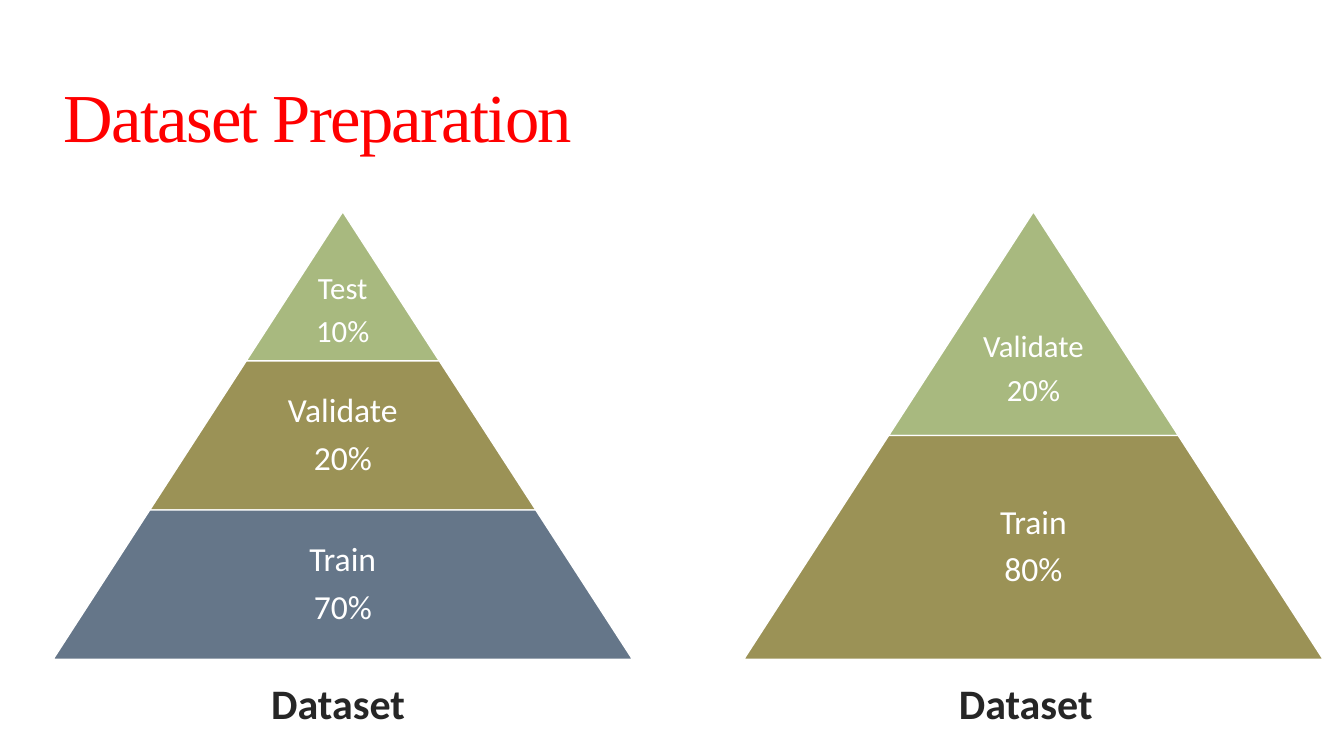
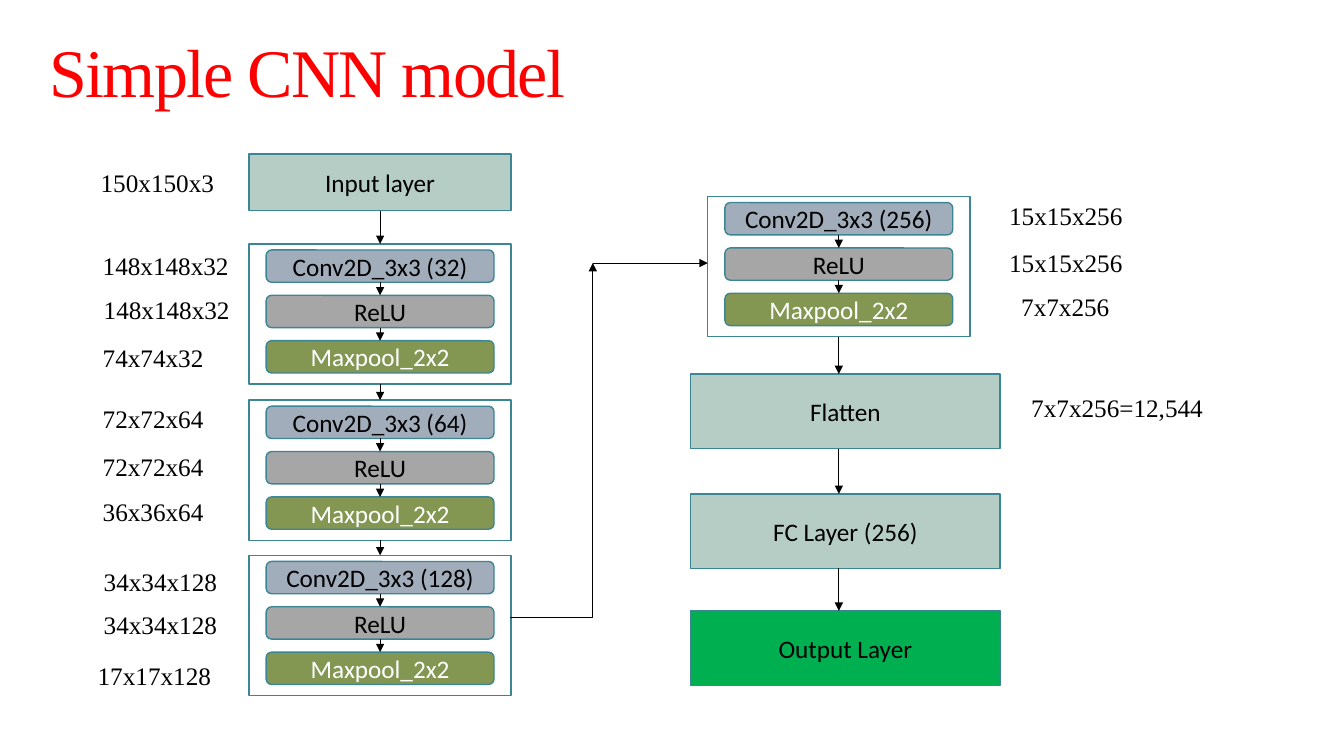
from lxml import etree
from pptx import Presentation
from pptx import util as u
from pptx.dml.color import RGBColor
from pptx.enum import shapes, text
from pptx.oxml.ns import qn

RED = RGBColor(0xFF, 0x00, 0x00)
BLACK = RGBColor(0x00, 0x00, 0x00)
WHITE = RGBColor(0xFF, 0xFF, 0xFF)
CHARCOAL = RGBColor(0x26, 0x26, 0x26)
SAGE = RGBColor(0xA8, 0xB9, 0x7F)
OLIVE = RGBColor(0x9B, 0x92, 0x56)
SLATE = RGBColor(0x65, 0x76, 0x89)
TEAL = RGBColor(0x3B, 0x85, 0x94)
MINT = RGBColor(0xB5, 0xCD, 0xC4)
BLUE_GREY = RGBColor(0xA1, 0xAD, 0xBA)
GREY = RGBColor(0xA6, 0xA6, 0xA6)
MOSS = RGBColor(0x83, 0x97, 0x53)
GREEN = RGBColor(0x00, 0xB0, 0x50)

SANS = "Calibri"
SERIF = "Times New Roman"
TITLE_ONLY = 5
TOP, LEFT, BOTTOM, RIGHT = range(4)

PYRAMID_TOP = 2.1
PYRAMID_HEIGHT = 4.44
SLOPE = 0.647

FRAME_W, FRAME_H = 2.6, 1.39
DENSE_X, DENSE_W, DENSE_H = 6.85, 3.07, 0.74
FLOW_X = 8.32


def place(sp, x, y, w, h):
    sp.left, sp.top, sp.width, sp.height = (u.Inches(v) for v in (x, y, w, h))


def add_run(p, words, size, color, font=SANS, bold=False):
    r = p.add_run()
    r.text = words
    r.font.name = font
    r.font.size = u.Pt(size)
    r.font.color.rgb = color
    r.font.bold = bold
    return r


def add_slide(prs, title, x, y, h, size):
    slide = prs.slides.add_slide(prs.slide_layouts[TITLE_ONLY])
    sp = slide.shapes.title
    place(sp, x, y, 11.78, h)
    tf = sp.text_frame
    tf.auto_size = text.MSO_AUTO_SIZE.NONE
    tf.vertical_anchor = text.MSO_ANCHOR.MIDDLE
    p = tf.paragraphs[0]
    p.alignment = text.PP_ALIGN.LEFT
    p.line_spacing = 0.85
    r = add_run(p, title, size, RED, SERIF)
    r.font._element.set("spc", "-120")
    return slide


def add_label(slide, x, y, w, h, words, size, color, font, bold=False):
    sp = slide.shapes.add_textbox(*(u.Inches(v) for v in (x, y, w, h)))
    sp.text_frame.word_wrap = True
    add_run(sp.text_frame.paragraphs[0], words, size, color, font, bold)
    return sp


def add_box(slide, kind, x, y, w, h, fill, line):
    sp = slide.shapes.add_shape(kind, *(u.Inches(v) for v in (x, y, w, h)))
    sp.shadow.inherit = False
    if fill is None:
        sp.fill.background()
    else:
        sp.fill.solid()
        sp.fill.fore_color.rgb = fill
    sp.line.color.rgb = line
    sp.line.width = u.Pt(1)
    sp.text_frame.vertical_anchor = text.MSO_ANCHOR.MIDDLE
    return sp


def add_layer(slide, x, y, w, h, words, fill, color=BLACK,
              kind=shapes.MSO_SHAPE.RECTANGLE):
    sp = add_box(slide, kind, x, y, w, h, fill, TEAL)
    p = sp.text_frame.paragraphs[0]
    p.alignment = text.PP_ALIGN.CENTER
    add_run(p, words, 18, color)
    return sp


def add_arrow(slide, start=(0, 0), end=(0, 0), begin_at=None, end_at=None,
              kind=shapes.MSO_CONNECTOR.STRAIGHT):
    c = slide.shapes.add_connector(kind, *(u.Inches(v) for v in (*start, *end)))
    if begin_at:
        c.begin_connect(*begin_at)
    if end_at:
        c.end_connect(*end_at)
    c.line.color.rgb = BLACK
    c.line.width = u.Pt(0.75)
    etree.SubElement(c.line._get_or_add_ln(), qn("a:tailEnd"), type="triangle")
    etree.SubElement(c._element.spPr, qn("a:effectLst"))
    return c


def join_down(slide, upper, lower):
    add_arrow(slide, begin_at=(upper, BOTTOM), end_at=(lower, TOP))


def add_pyramid(slide, center, levels, tip_drop):
    h = PYRAMID_HEIGHT / len(levels)
    for i, (name, share, fill) in enumerate(levels):
        w = 2 * SLOPE * h * (i + 1)
        sp = add_box(slide, shapes.MSO_SHAPE.TRAPEZOID, center - w / 2,
                     PYRAMID_TOP + i * h, w, h, fill, WHITE)
        sp.adjustments[0] = SLOPE
        tf = sp.text_frame
        tf.word_wrap = False
        tf.margin_left = tf.margin_right = u.Inches(0.03)
        tf.margin_top = u.Inches(0.03 if i else tip_drop)
        tf.margin_bottom = u.Inches(0.03 + (h / 3 / (i + 1) if i else 0))
        size = 24 if i else 22
        for p, words in zip((tf.paragraphs[0], tf.add_paragraph()), (name, share)):
            p.alignment = text.PP_ALIGN.CENTER
            p.line_spacing = 0.9
            p.space_after = u.Pt(size / 3)
            add_run(p, words, size, WHITE)


def add_caption(slide, x):
    sp = add_label(slide, x, 6.75, 2.83, 0.36, "Dataset", 30, CHARCOAL, SANS, True)
    sp.text_frame.margin_left = u.Inches(0.2)
    sp.text_frame.paragraphs[0].line_spacing = 0.85


def add_conv_block(slide, x, y, filters):
    frame = add_box(slide, shapes.MSO_SHAPE.RECTANGLE, x, y, FRAME_W, FRAME_H,
                    None, TEAL)
    steps = [(f"Conv2D_3x3 ({filters})", BLUE_GREY, BLACK),
             ("ReLU", GREY, BLACK),
             ("Maxpool_2x2", MOSS, WHITE)]
    layers = [add_layer(slide, x + 0.17, y + 0.06 + 0.45 * i, 2.26, 0.32, *step,
                        kind=shapes.MSO_SHAPE.ROUNDED_RECTANGLE)
              for i, step in enumerate(steps)]
    for upper, lower in zip(layers, layers[1:]):
        join_down(slide, upper, lower)
    return frame


def build_dataset_slide(prs):
    slide = add_slide(prs, "Dataset Preparation", 0.53, 0.75, 0.92, 49)
    add_pyramid(slide, 3.4, [("Test", "10%", SAGE),
                             ("Validate", "20%", OLIVE),
                             ("Train", "70%", SLATE)], 0.03)
    add_pyramid(slide, 10.25, [("Validate", "20%", SAGE),
                               ("Train", "80%", OLIVE)], 0.2)
    for x in (2.49, 9.31):
        add_caption(slide, x)


def build_model_slide(prs):
    slide = add_slide(prs, "Simple CNN model", 0.39, 0.39, 0.74, 48.6)

    column = [add_layer(slide, 2.47, 1.53, FRAME_W, 0.56, "Input layer", MINT)]
    for y, filters in ((2.42, 32), (3.97, 64), (5.51, 128)):
        column.append(add_conv_block(slide, 2.47, y, filters))
    for upper, lower in zip(column, column[1:]):
        join_down(slide, upper, lower)

    last_block = add_conv_block(slide, 7.02, 1.95, 256)
    elbow = add_arrow(slide, (5.06, 6.13), (5.88, 2.61),
                      kind=shapes.MSO_CONNECTOR.ELBOW)
    elbow._element.spPr.find(qn("a:prstGeom")).set("prst", "bentConnector2")
    add_arrow(slide, (5.88, 2.61), (7.02, 2.61))

    dense = [(3.71, "Flatten", MINT), (4.9, "FC Layer (256)", MINT),
             (6.06, "Output Layer", GREEN)]
    for y, words, fill in dense:
        add_layer(slide, DENSE_X, y, DENSE_W, DENSE_H, words, fill)
    add_arrow(slide, (FLOW_X, 3.34), (FLOW_X, 3.71), begin_at=(last_block, BOTTOM))
    for (upper, *_), (lower, *_) in zip(dense, dense[1:]):
        add_arrow(slide, (FLOW_X, upper + DENSE_H), (FLOW_X, lower))

    sizes = [(0.9, 1.61, "150x150x3"),
             (0.92, 2.43, "148x148x32"),
             (0.93, 2.87, "148x148x32"),
             (0.92, 3.35, "74x74x32"),
             (0.92, 3.95, "72x72x64"),
             (0.92, 4.43, "72x72x64"),
             (0.92, 4.87, "36x36x64"),
             (0.93, 5.57, "34x34x128"),
             (0.93, 6, "34x34x128"),
             (0.87, 6.5, "17x17x128"),
             (9.91, 1.94, "15x15x256"),
             (9.91, 2.4, "15x15x256"),
             (10.03, 2.84, "7x7x256"),
             (10.13, 3.84, "7x7x256=12,544")]
    for x, y, words in sizes:
        add_label(slide, x, y, 2.04 if "=" in words else 1.48, 0.4, words,
                  18, BLACK, SERIF)


def main():
    prs = Presentation()
    prs.slide_width = u.Inches(13.33)
    prs.slide_height = u.Inches(7.5)
    build_dataset_slide(prs)
    build_model_slide(prs)
    prs.save("out.pptx")


if __name__ == "__main__":
    main()
